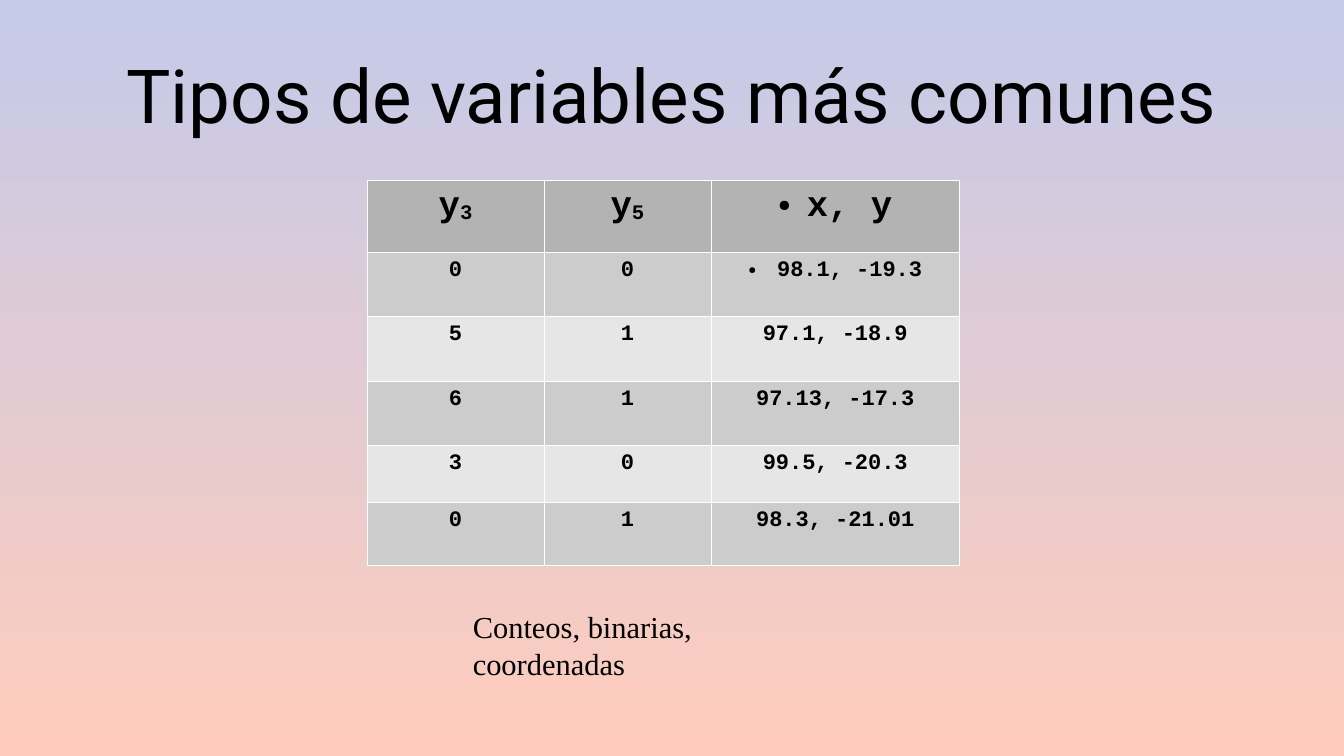
import lxml.etree
import pptx
import pptx.dml.color
import pptx.enum.text
import pptx.oxml.ns
import pptx.util

Cm = pptx.util.Cm
ALIGN = pptx.enum.text.PP_ALIGN
HEAD = [[("y", 0), ("3", -8)], [("y", 0), ("5", -8)], [("x, y", 0)]]
ROWS = [
    ("0", "0", "98.1, -19.3"),
    ("5", "1", "97.1, -18.9"),
    ("6", "1", "97.13, -17.3"),
    ("3", "0", "99.5, -20.3"),
    ("0", "1", "98.3, -21.01"),
]
COLS = (3.68, 3.48, 5.18)
HIGHS = (1.5, 1.33, 1.35, 1.33, 1.2, 1.3)


def color(code):
    """Turn a hex string into a colour."""
    return pptx.dml.color.RGBColor.from_string(code)


def add_xml(parent, tag, **attrs):
    """Append a drawing element to its parent."""
    return lxml.etree.SubElement(parent, pptx.oxml.ns.qn(tag), attrs)


def add_run(para, text, face, size, bold=False, base=0):
    """Add one black run, with an optional baseline shift in percent."""
    run = para.add_run()
    run.text = text
    font = run.font
    font.name, font.size, font.bold = face, pptx.util.Pt(size), bold
    font.color.rgb = color("000000")
    if base:
        run._r.get_or_add_rPr().set("baseline", str(base * 1000))


def add_bullet(para):
    """Give a paragraph a small round bullet."""
    props = para._p.get_or_add_pPr()
    props.set("marL", str(Cm(0.6)))
    props.set("indent", str(-Cm(0.6)))
    add_xml(add_xml(props, "a:buClr"), "a:srgbClr", val="000000")
    add_xml(props, "a:buSzPct", val="45000")
    add_xml(props, "a:buChar", char="●")


def style_cell(cell, fill):
    """Set the thin white borders and the fill of a cell."""
    props = cell._tc.get_or_add_tcPr()
    for side in ("L", "R", "T", "B"):
        line = add_xml(props, "a:ln" + side, w="762")
        add_xml(add_xml(line, "a:solidFill"), "a:srgbClr", val="FFFFFF")
    cell.fill.solid()
    cell.fill.fore_color.rgb = color(fill)


def paint_back(slide):
    """Fill the background with a vertical gradient."""
    fill = slide.background.fill
    fill.gradient()
    fill.gradient_angle = 270
    for stop, code in zip(fill.gradient_stops, ("C5CAE9", "FFCCBC")):
        stop.color.rgb = color(code)


def add_title(slide, x, y, w, h):
    """Place the title in its box."""
    title = slide.shapes.title
    title.left, title.top, title.width, title.height = map(Cm, (x, y, w, h))
    frame = title.text_frame
    frame.margin_left = frame.margin_right = 0
    frame.margin_top = frame.margin_bottom = 0
    frame.vertical_anchor = pptx.enum.text.MSO_ANCHOR.MIDDLE
    para = frame.paragraphs[0]
    para.alignment = ALIGN.CENTER
    add_run(para, "Tipos de variables más comunes", "Roboto", 44)


def add_data(slide, x, y, w, h):
    """Place the table of variables, scaled to its box."""
    rows = [HEAD] + [[[(text, 0)] for text in row] for row in ROWS]
    table = slide.shapes.add_table(
        len(rows), len(COLS), Cm(x), Cm(y), Cm(w), Cm(h)).table
    for col, wide in zip(table.columns, COLS):
        col.width = Cm(w * wide / sum(COLS))
    for row, high in zip(table.rows, HIGHS):
        row.height = Cm(h * high / sum(HIGHS))
    for i, row in enumerate(rows):
        fill = "B3B3B3" if i == 0 else "CCCCCC" if i % 2 else "E6E6E6"
        for j, parts in enumerate(row):
            cell = table.cell(i, j)
            style_cell(cell, fill)
            para = cell.text_frame.paragraphs[0]
            para.alignment = ALIGN.CENTER
            if j == 2 and i < 2:
                add_bullet(para)
            for text, base in parts:
                add_run(para, text, "Courier New", 13 if i else 21, True, base)


def add_note(slide, x, y, w, h):
    """Place the caption that names the kinds of variable."""
    frame = slide.shapes.add_textbox(Cm(x), Cm(y), Cm(w), Cm(h)).text_frame
    frame.word_wrap = True
    add_run(frame.paragraphs[0], "Conteos, binarias, coordenadas",
            "Times New Roman", 18)


def main():
    """Build the slide and save it."""
    deck = pptx.Presentation()
    deck.slide_width, deck.slide_height = Cm(28), Cm(15.75)
    slide = deck.slides.add_slide(deck.slide_layouts[5])
    paint_back(slide)
    add_title(slide, 1.4, 0.63, 25.2, 2.63)
    add_data(slide, 7.65, 3.76, 12.34, 8.01)
    add_note(slide, 9.6, 12.55, 8.1, 0.9)
    deck.save("out.pptx")


if __name__ == "__main__":
    main()
